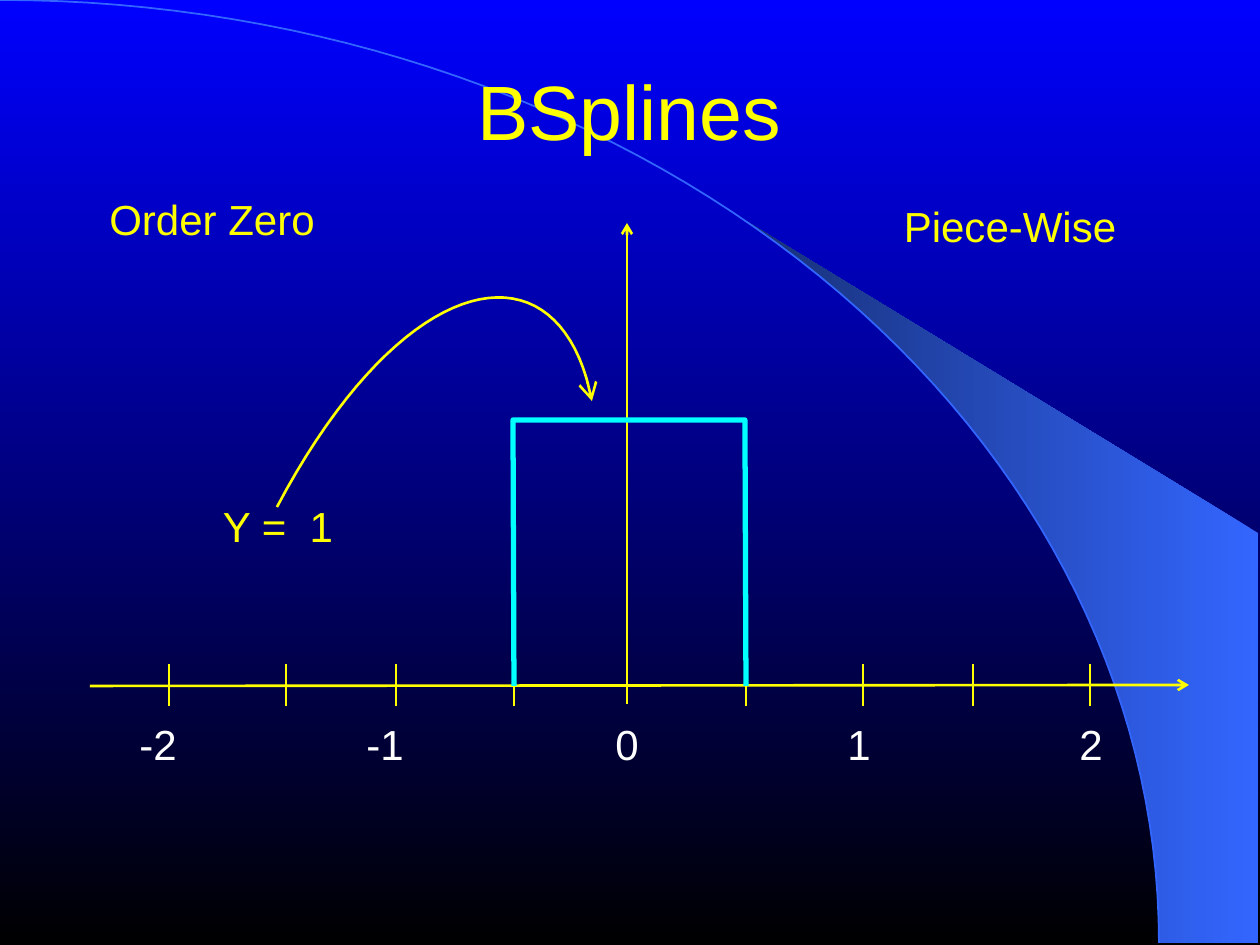
"""Build a slide that plots the order-zero B-spline."""
from dataclasses import dataclass
from math import asin, cos, pi, sin

from lxml.etree import SubElement
from pptx import Presentation
from pptx.dml.color import RGBColor
from pptx.enum.shapes import MSO_CONNECTOR
from pptx.enum.text import MSO_ANCHOR, PP_ALIGN
from pptx.oxml.ns import qn
from pptx.util import Emu, Pt

SCALE = 914400 / 126
WIDE, HIGH = 1260, 945


@dataclass(frozen=True)
class Theme:
    """Hold the colours and sizes of the slide."""
    top: str = "0000FF"
    base: str = "000000"
    ink: str = "FFFF00"
    mark: str = "FFFFFF"
    pulse: str = "00FFFF"
    sweep: str = "3366FF"
    shade: str = "172F75"
    face: str = "Arial"
    title: int = 44
    body: int = 24


THEME = Theme()


def px(size):
    """Turn px into EMU."""
    return Emu(round(size * SCALE))


def rgb(code):
    """Turn a hex code into a colour."""
    return RGBColor.from_string(code)


def assign(item, form):
    """Set each format value on an item."""
    for name, value in form.items():
        setattr(item, name, value)


def blend(fill, first, last, angle):
    """Give a fill a two-colour gradient."""
    fill.gradient()
    fill.gradient_angle = angle
    for stop, code in zip(fill.gradient_stops, (first, last)):
        stop.color.rgb = rgb(code)


def stroke(shape, color, width, arrow=None):
    """Style a line and its arrowhead of a given size."""
    shape.line.color.rgb = rgb(color)
    shape.line.width = Pt(width)
    if arrow:
        line = shape.element.spPr.find(qn("a:ln"))
        SubElement(line, qn("a:tailEnd"), type="arrow", w=arrow, len=arrow)


def add_line(slide, start, end, arrow=None):
    """Draw a straight line between two points."""
    ends = [px(value) for value in (*start, *end)]
    line = slide.shapes.add_connector(MSO_CONNECTOR.STRAIGHT, *ends)
    stroke(line, THEME.ink, 1.5, arrow)
    SubElement(line.element.spPr, qn("a:effectLst"))


def add_path(slide, points, close=False):
    """Draw an unfilled outline through points."""
    spots = [(px(x), px(y)) for x, y in points]
    pen = slide.shapes.build_freeform(*spots[0])
    pen.add_line_segments(spots[1:], close=close)
    shape = pen.convert_to_shape()
    shape.shadow.inherit = False
    shape.fill.background()
    return shape


def add_text(slide, words, area, color, size=THEME.body, pad=True):
    """Place one centred line of text."""
    box = slide.shapes.add_textbox(*map(px, area))
    frame = box.text_frame
    frame.word_wrap = True
    if not pad:
        sides = ("left", "right", "top", "bottom")
        assign(frame, {f"margin_{side}": 0 for side in sides})
        frame.vertical_anchor = MSO_ANCHOR.MIDDLE
    para = frame.paragraphs[0]
    assign(para, {"text": words, "alignment": PP_ALIGN.CENTER,
                  "line_spacing": 0.8 if pad else 1.0})
    font = para.runs[0].font
    assign(font, {"name": THEME.face, "size": Pt(size)})
    font.color.rgb = rgb(color)


def arc(first, last, steps):
    """List points on the sweep's quarter ellipse."""
    turns = [first + (last - first) * i / steps for i in range(steps + 1)]
    return [(1159 * sin(t), 943 * (1 - cos(t))) for t in turns]


def bezier(a, b, c, d, steps=40):
    """List points on a cubic curve."""
    points = []
    for i in range(steps + 1):
        t = i / steps
        u = 1 - t
        mix = (u ** 3, 3 * u * u * t, 3 * u * t * t, t ** 3)
        points.append(tuple(sum(m * v for m, v in zip(mix, axis))
                            for axis in zip(a, b, c, d)))
    return points


def add_sweep(slide):
    """Draw the backdrop of fan and arc."""
    edge = arc(asin(742 / 1159), pi / 2, 30)
    fan = add_path(slide, edge + [(1258, 943), (1258, 533)], close=True)
    blend(fan.fill, THEME.sweep, THEME.shade, 180)
    fan.line.fill.background()
    stroke(add_path(slide, arc(0, pi / 2, 62)), THEME.sweep, 1)


def add_plot(slide):
    """Draw axes, ticks, numbers and the pulse."""
    add_line(slide, (90, 686), (1189, 685), arrow="med")
    add_line(slide, (627, 704), (627, 223), arrow="med")
    for x in (169, 286, 396, 514, 746, 863, 973, 1090):
        add_line(slide, (x, 706), (x, 664))
    marks = {"-2": 158, "-1": 385, "0": 627, "1": 859, "2": 1091}
    for words, x in marks.items():
        add_text(slide, words, (x - 34, 722, 68, 53), THEME.mark)
    pulse = add_path(slide, [(514, 686), (513, 420), (745, 420), (746, 686)])
    stroke(pulse, THEME.pulse, 3)


def add_notes(slide):
    """Write the captions and the curved pointer."""
    notes = {"Order Zero": (71, 197), "Piece-Wise": (869, 204),
             "Y =  1": (137, 504)}
    for words, spot in notes.items():
        add_text(slide, words, (*spot, 282, 53), THEME.ink)
    curve = bezier((277, 507), (406, 263), (561, 238), (592, 401))
    stroke(add_path(slide, curve), THEME.ink, 1.5, arrow="lg")


def main():
    """Build and save the slide."""
    deck = Presentation()
    assign(deck, {"slide_width": px(WIDE), "slide_height": px(HIGH)})
    slide = deck.slides.add_slide(deck.slide_layouts[6])
    blend(slide.background.fill, THEME.top, THEME.base, 270)
    add_sweep(slide)
    add_text(slide, "BSplines", (94, 15, 1071, 190), THEME.ink,
             THEME.title, pad=False)
    add_plot(slide)
    add_notes(slide)
    deck.save("out.pptx")


if __name__ == "__main__":
    main()
